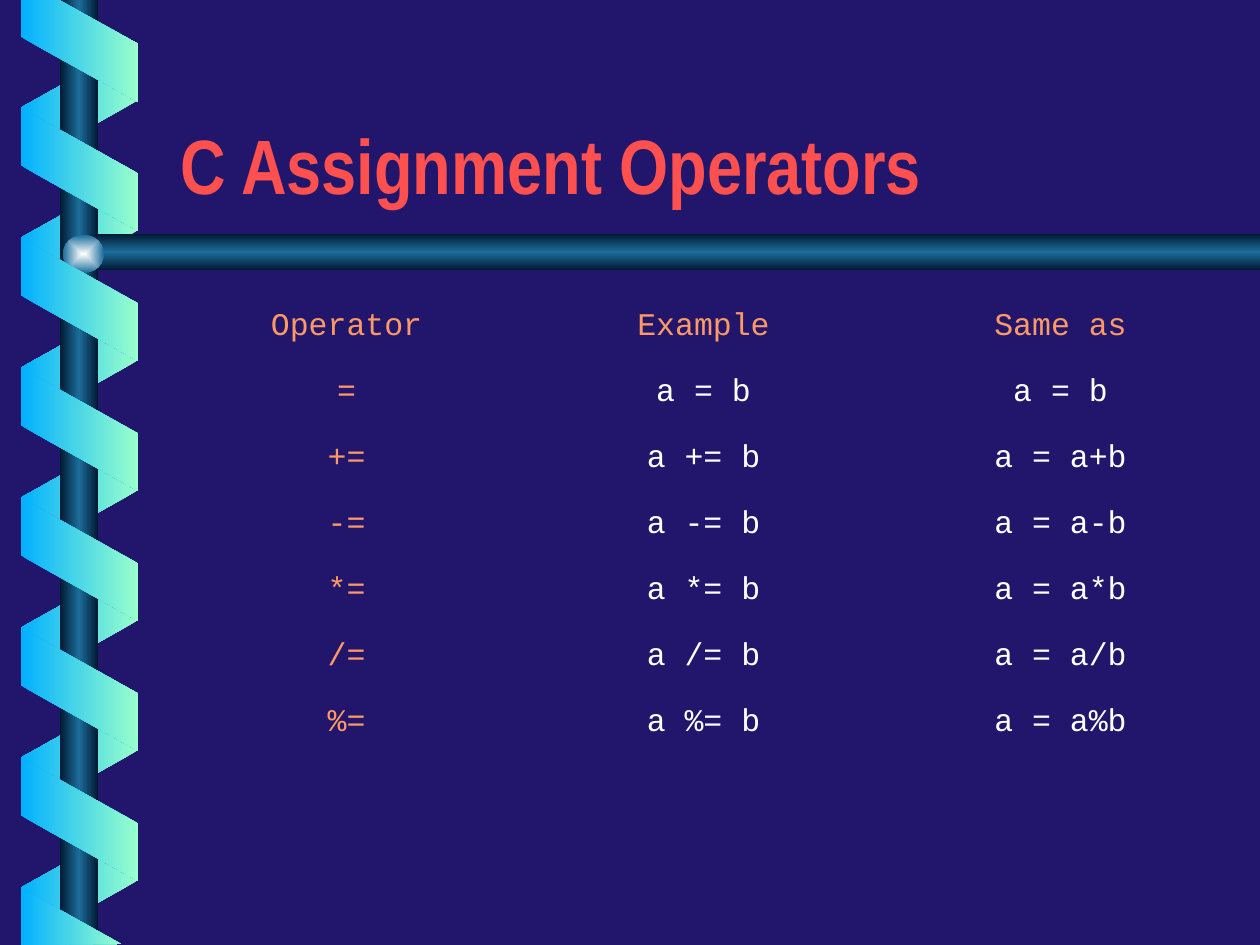
from pptx import Presentation
from pptx.dml.color import RGBColor
from pptx.enum.shapes import MSO_SHAPE
from pptx.enum.text import MSO_ANCHOR, PP_ALIGN
from pptx.oxml import parse_xml
from pptx.oxml.ns import nsdecls, qn
from pptx.util import Pt

PX = 914400 / 126
RECT, OVAL, SLANT = MSO_SHAPE.RECTANGLE, MSO_SHAPE.OVAL, MSO_SHAPE.PARALLELOGRAM
BOTTOM, MIDDLE = MSO_ANCHOR.BOTTOM, MSO_ANCHOR.MIDDLE
CENTER = PP_ALIGN.CENTER
NO_TABLE_STYLE = "{2D5ABB26-0587-4C30-8999-92F81FD0307C}"

RIBBON = ["01B0FF", "99FFCC"]
STEEL = ["001932", "1C6D9A", "001932"]
GLOW = ["FEFFFF", "1C6D9A"]
SIDEWAYS = '<a:lin ang="0" scaled="1"/>'
DOWNWARDS = '<a:lin ang="5400000" scaled="1"/>'
FROM_CENTER = ('<a:path path="rect">'
               '<a:fillToRect l="50000" t="50000" r="50000" b="50000"/></a:path>')

TURN_HEIGHT = 130
BACK_TURNS = [46 + TURN_HEIGHT * turn for turn in range(7)]
FRONT_TURNS = [111 + TURN_HEIGHT * turn for turn in range(6)]

OPERATORS = [
    ("Operator", "Example", "Same as"),
    ("=", "a = b", "a = b"),
    ("+=", "a += b", "a = a+b"),
    ("-=", "a -= b", "a = a-b"),
    ("*=", "a *= b", "a = a*b"),
    ("/=", "a /= b", "a = a/b"),
    ("%=", "a %= b", "a = a%b"),
]


def px(length):
    return round(length * PX)


def rgb(color):
    return RGBColor.from_string(color)


def set_all(target, values):
    for name, value in values.items():
        setattr(target, name, value)


class SlideBuilder:
    """Holds the text style and the slide being drawn."""

    title_font = {"name": "Arial Narrow", "size": Pt(44), "bold": True}
    code_font = {"name": "Courier New", "size": Pt(18)}
    title_color, label_color, code_color = "FF5050", "FF9966", "FFFFFF"
    cell_format = {"vertical_anchor": MIDDLE, "margin_left": px(1), "margin_right": px(1),
                   "margin_top": px(6), "margin_bottom": px(6)}

    def __init__(self, slide, background):
        self.slide = slide
        fill = slide.background.fill
        fill.solid()
        fill.fore_color.rgb = rgb(background)

    def paint(self, shape, colors, direction):
        """Gives a shape an outline-free gradient with evenly spaced stops."""
        shape.shadow.inherit = False
        shape.line.fill.background()
        shape.fill.background()
        stops = "".join(
            f'<a:gs pos="{100000 * index // (len(colors) - 1)}"><a:srgbClr val="{color}"/></a:gs>'
            for index, color in enumerate(colors))
        gradient = parse_xml(f'<a:gradFill {nsdecls("a")} rotWithShape="0">'
                             f'<a:gsLst>{stops}</a:gsLst>{direction}</a:gradFill>')
        properties = shape._element.spPr
        properties.replace(properties.find(qn("a:noFill")), gradient)

    def preset(self, kind, box, colors, direction):
        shape = self.slide.shapes.add_shape(kind, *map(px, box))
        self.paint(shape, colors, direction)
        return shape

    def outline(self, points, colors, direction):
        builder = self.slide.shapes.build_freeform(*points[0], scale=PX)
        builder.add_line_segments(points[1:], close=True)
        self.paint(builder.convert_to_shape(), colors, direction)

    def ribbon_turn(self, top, front):
        colors = RIBBON if front else RIBBON[::-1]
        turn = self.preset(SLANT, (18, top, 123, 117 if front else 116), colors, SIDEWAYS)
        turn.adjustments[0] = 0.56
        turn.rotation = 270 if front else 90
        if not front:
            turn._element.spPr.xfrm.set("flipH", "1")

    def add_text(self, frame, text, font, color):
        paragraph = frame.paragraphs[0]
        run = paragraph.add_run()
        run.text = text
        set_all(run.font, font)
        run.font.color.rgb = rgb(color)
        return paragraph

    def title(self, text, box):
        frame = self.slide.shapes.add_textbox(*map(px, box)).text_frame
        set_all(frame, {"word_wrap": True, "vertical_anchor": BOTTOM})
        self.add_text(frame, text, self.title_font, self.title_color)

    def table(self, rows, box):
        graphic = self.slide.shapes.add_table(len(rows), len(rows[0]), *map(px, box))
        table = graphic.table
        set_all(table, {"first_row": False, "horz_banding": False})
        table._tbl.tblPr.find(qn("a:tableStyleId")).text = NO_TABLE_STYLE
        for row_index, row in enumerate(rows):
            for column_index, text in enumerate(row):
                cell = table.cell(row_index, column_index)
                set_all(cell, self.cell_format)
                cell.fill.background()
                is_label = row_index == 0 or column_index == 0
                color = self.label_color if is_label else self.code_color
                paragraph = self.add_text(cell.text_frame, text, self.code_font, color)
                paragraph.alignment = CENTER


def main():
    deck = Presentation()
    set_all(deck, {"slide_width": px(1260), "slide_height": px(945)})
    page = SlideBuilder(deck.slides.add_slide(deck.slide_layouts[6]), "22166C")

    for top in BACK_TURNS:
        page.ribbon_turn(top, front=False)
    page.preset(RECT, (60, 0, 38, 945), STEEL, SIDEWAYS)
    page.outline([(1260, 234), (96, 234), (76, 252), (96, 270), (1260, 270)], STEEL, DOWNWARDS)
    page.preset(OVAL, (63, 235, 41, 38), GLOW, FROM_CENTER)
    for top in FRONT_TURNS:
        page.ribbon_turn(top, front=True)
    page.outline([(21, 0), (21, 37), (138, 102), (138, 44), (59, 0)], RIBBON, SIDEWAYS)
    page.outline([(121, 944), (21, 888), (21, 945)], RIBBON, SIDEWAYS)

    page.title("C Assignment Operators", (168, 58, 1071, 158))
    page.table(OPERATORS, (168, 294, 1071, 462))
    deck.save("out.pptx")


if __name__ == "__main__":
    main()
